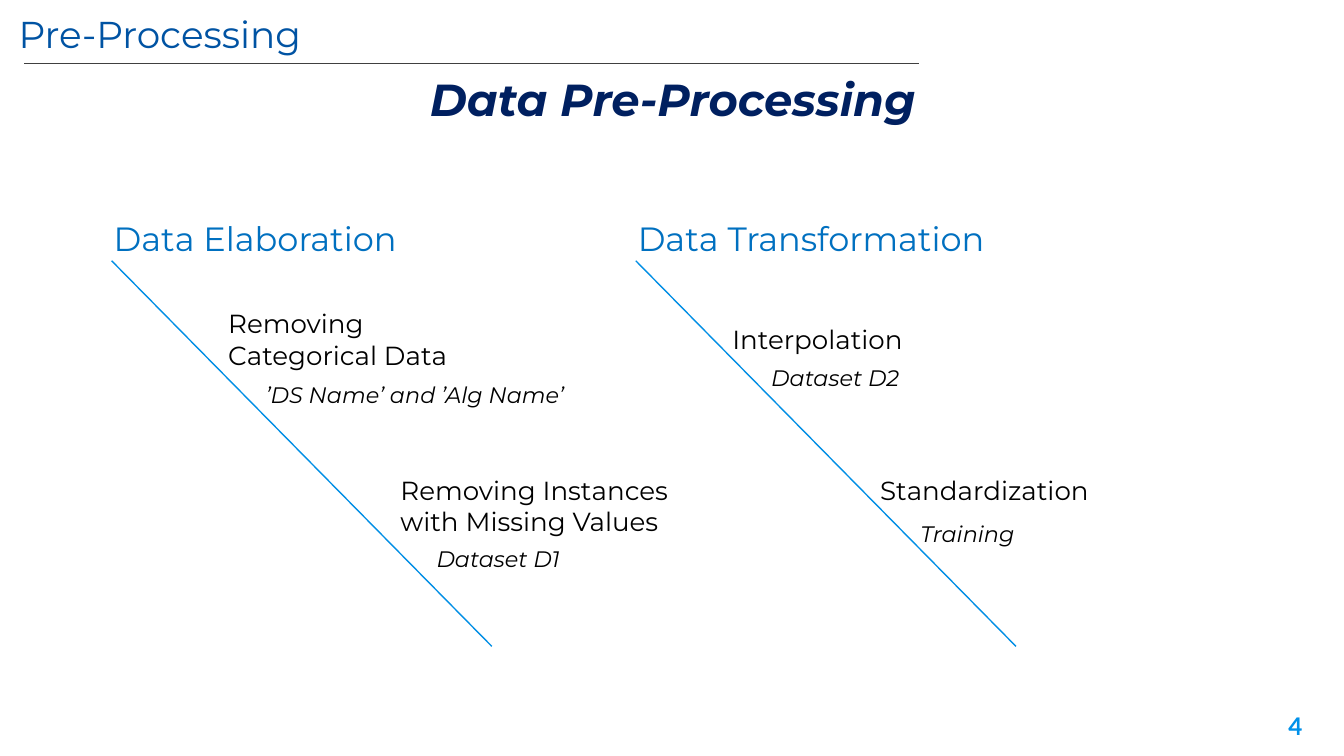
from dataclasses import dataclass
from typing import NamedTuple

from lxml import etree
from pptx import Presentation
from pptx.dml.color import RGBColor
from pptx.enum.shapes import MSO_CONNECTOR
from pptx.enum.text import MSO_ANCHOR, MSO_AUTO_SIZE, PP_ALIGN
from pptx.oxml.ns import qn
from pptx.util import Pt

LEFT, CENTER, RIGHT = PP_ALIGN.LEFT, PP_ALIGN.CENTER, PP_ALIGN.RIGHT
TOP, MIDDLE = MSO_ANCHOR.TOP, MSO_ANCHOR.MIDDLE
STRAIGHT = MSO_CONNECTOR.STRAIGHT
NO_FIT = MSO_AUTO_SIZE.NONE


@dataclass(frozen=True)
class Theme:
    font: str = "Montserrat"
    digit: str = "Lato"
    navy: str = "002060"
    blue: str = "0053A3"
    head: str = "0070C0"
    slant: str = "008EE5"
    page: str = "0091EA"
    ink: str = "000000"
    rule: str = "404040"
    title_size: float = 24
    top_size: float = 20
    head_size: float = 18
    step_size: float = 14
    page_size: float = 13
    note_size: float = 12
    line: float = 0.75


THEME = Theme()


class Box(NamedTuple):
    x: float
    y: float
    w: float
    h: float


class Step(NamedTuple):
    text: str
    box: Box
    note: str
    note_x: float
    note_y: float


class Panel(NamedTuple):
    head: str
    x: float
    width: float
    steps: tuple[Step, ...]


# Each panel's x is the top end of its slanted line
PANELS = (
    Panel("Data Elaboration", 59.8, 168.5, (
        Step("Removing Categorical Data", Box(115.2, 161.3, 132.5, 41),
             "’DS Name’ and ’Alg Name’", 135.4, 200.9),
        Step("Removing Instances with Missing Values",
             Box(207.4, 250.6, 160.6, 41), "Dataset D1", 226.8, 288.7),
    )),
    Panel("Data Transformation", 340.6, 203.8, (
        Step("Interpolation", Box(385.2, 169.9, 185.8, 24.5),
             "Dataset D2", 406.1, 191.5),
        Step("Standardization", Box(464.4, 250.6, 185.8, 24.5),
             "Training", 486, 275),
    )),
)
HEAD_Y, HEAD_H = 113, 28.8
SLANT_Y, SLANT_W, SLANT_H = 139.7, 203.7, 206.6
NOTE_W, NOTE_H = 182.9, 21.6


def write(slide, text: str, box: Box, *, size: float, color: str,
          font: str = THEME.font, bold: bool = False, italic: bool = False,
          align=LEFT, anchor=TOP, pad: float = 3.6, shape=None) -> None:
    """Write text into a new text box, or into the given placeholder."""
    x, y, w, h = (Pt(v) for v in box)
    if shape is None:
        shape = slide.shapes.add_textbox(x, y, w, h)
    else:
        shape.left, shape.top, shape.width, shape.height = x, y, w, h
    frame = shape.text_frame
    frame.word_wrap = True
    frame.auto_size = NO_FIT
    frame.vertical_anchor = anchor
    frame.margin_left = frame.margin_right = Pt(7.2)
    frame.margin_top = frame.margin_bottom = Pt(pad)
    para = frame.paragraphs[0]
    para.alignment = align
    run = para.add_run()
    run.text = text
    face = run.font
    face.name, face.size = font, Pt(size)
    face.bold, face.italic = bold, italic
    face.color.rgb = RGBColor.from_string(color)


def draw_line(slide, x: float, y: float, w: float, h: float,
              color: str) -> None:
    line = slide.shapes.add_connector(
        STRAIGHT, Pt(x), Pt(y), Pt(x + w), Pt(y + h))
    line.line.width = Pt(THEME.line)
    line.line.color.rgb = RGBColor.from_string(color)
    etree.SubElement(line._element.spPr, qn("a:effectLst"))


def draw_panel(slide, panel: Panel) -> None:
    write(slide, panel.head, Box(panel.x - 6, HEAD_Y, panel.width, HEAD_H),
          size=THEME.head_size, color=THEME.head)
    draw_line(slide, panel.x, SLANT_Y, SLANT_W, SLANT_H, THEME.slant)
    for step in panel.steps:
        write(slide, step.text, step.box,
              size=THEME.step_size, color=THEME.ink)
        write(slide, step.note,
              Box(step.note_x, step.note_y, NOTE_W, NOTE_H),
              size=THEME.note_size, color=THEME.ink, italic=True)


def main() -> None:
    deck = Presentation()
    deck.slide_width, deck.slide_height = Pt(720), Pt(405)
    slide = deck.slides.add_slide(deck.slide_layouts[5])

    # Section name, rule and title
    write(slide, "Pre-Processing", Box(2.9, 2.2, 169.9, 31.7),
          size=THEME.top_size, color=THEME.blue, anchor=MIDDLE)
    draw_line(slide, 13, 33.9, 479.5, 0, THEME.rule)
    write(slide, "Data Pre-Processing", Box(193, 34.6, 334.8, 36),
          size=THEME.title_size, color=THEME.navy, bold=True, italic=True,
          align=CENTER, anchor=MIDDLE, shape=slide.shapes.title)

    # Two columns of steps
    for panel in PANELS:
        draw_panel(slide, panel)

    # Page number
    write(slide, "4", Box(661.7, 373.7, 43.2, 31), size=THEME.page_size,
          color=THEME.page, font=THEME.digit, bold=True, align=RIGHT, pad=7.2)

    deck.save("out.pptx")


if __name__ == "__main__":
    main()
